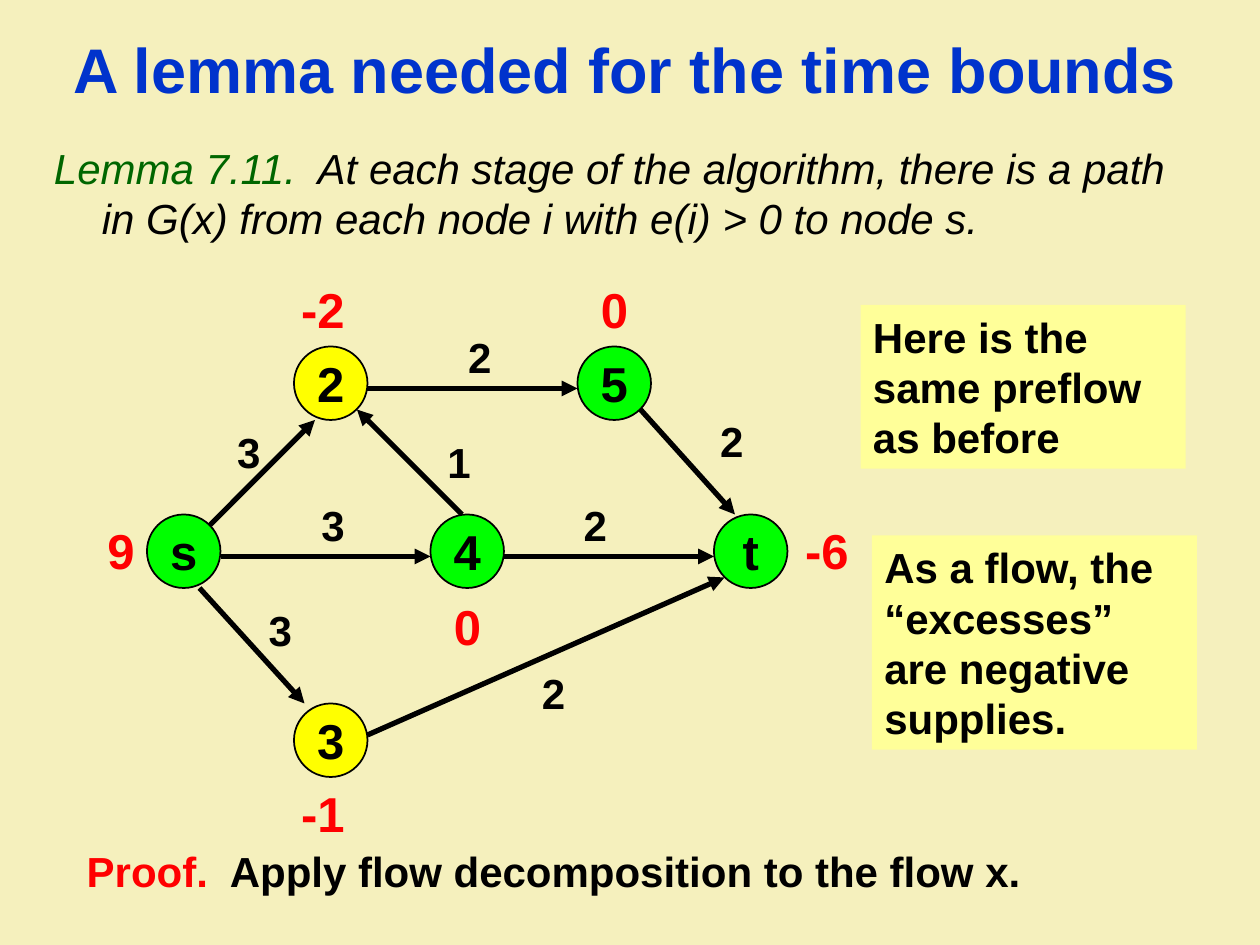
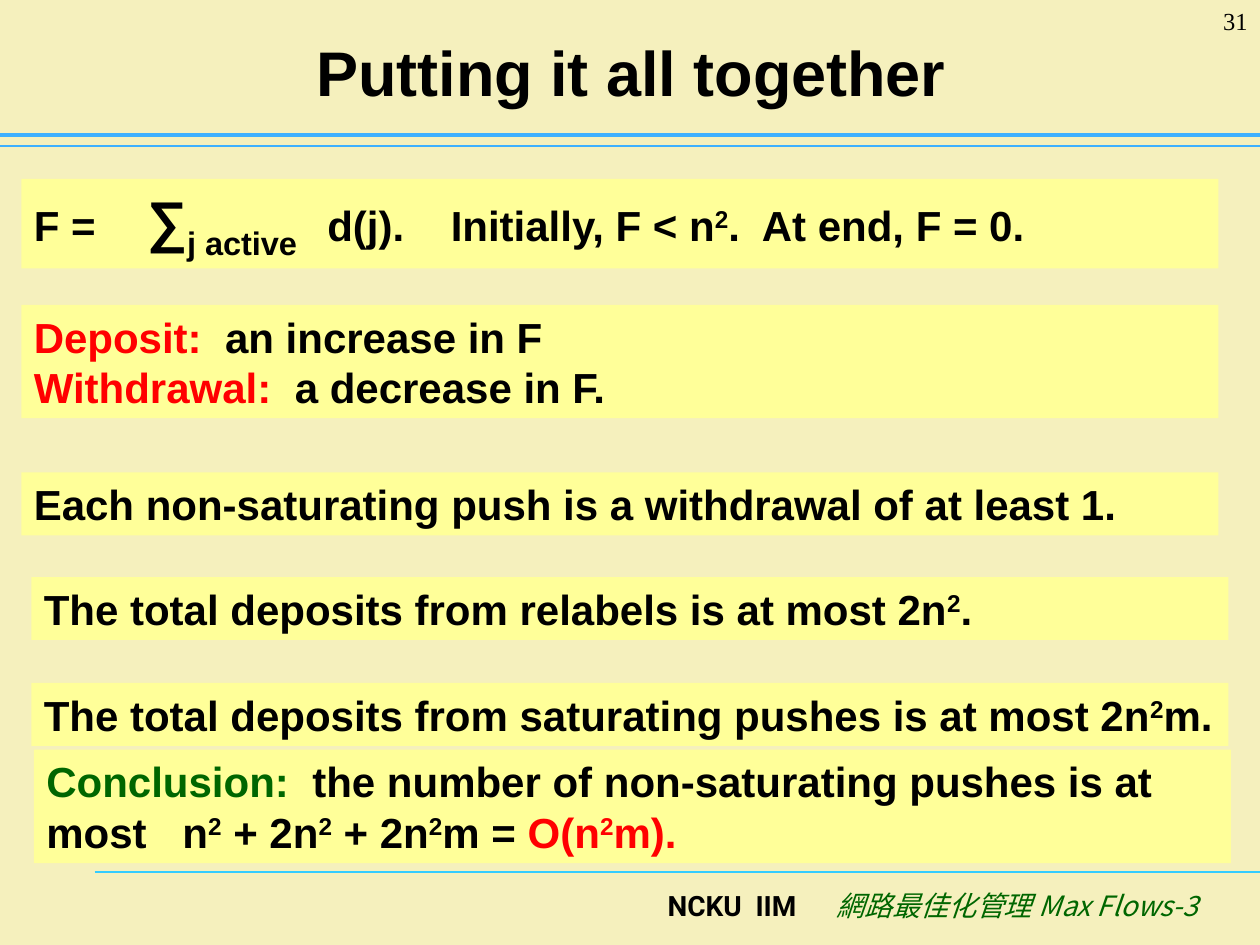
from dataclasses import dataclass

from lxml import etree
from pptx import Presentation
from pptx.dml.color import RGBColor
from pptx.enum.shapes import MSO_CONNECTOR, MSO_SHAPE
from pptx.enum.text import MSO_ANCHOR, PP_ALIGN
from pptx.oxml.ns import qn
from pptx.util import Inches, Length, Pt

RECT, OVAL = MSO_SHAPE.RECTANGLE, MSO_SHAPE.OVAL
STRAIGHT = MSO_CONNECTOR.STRAIGHT
LEFT, CENTER, RIGHT = PP_ALIGN.LEFT, PP_ALIGN.CENTER, PP_ALIGN.RIGHT
TOP, MIDDLE = MSO_ANCHOR.TOP, MSO_ANCHOR.MIDDLE

PAPER, NOTE = "F5F0BD", "FFFF99"
BLACK, RED, BLUE, FOREST = "000000", "FF0000", "0033CC", "006600"
GREEN, YELLOW = "00FF00", "FFFF00"
SKY, AQUA = "3DB0FF", "33CCFF"
GRID = 12  # graph steps per inch
NODE = 7  # node width in grid steps


@dataclass(frozen=True)
class Run:
    text: str
    color: str = BLACK
    size: float = 24
    bold: bool = True
    italic: bool = False
    font: str = "Arial"
    base: int = 0


@dataclass(frozen=True)
class Tab:
    at: float
    kind: str = "l"


@dataclass(frozen=True)
class Node:
    name: str
    x: int
    y: int
    fill: str = GREEN


@dataclass(frozen=True)
class Edge:
    start: tuple[int, int]
    end: tuple[int, int]
    flow: str
    label: tuple[int, int]


@dataclass(frozen=True)
class Excess:
    text: str
    x: float
    y: float
    width: int


@dataclass(frozen=True)
class Fact:
    x: float
    y: float
    height: float
    runs: list[Run]
    tabs: tuple[Tab, ...] = ()


SQUARE = Run("2", base=30)

NODES = [
    Node("s", 14, 49),
    Node("4", 41, 49),
    Node("5", 55, 33),
    Node("t", 68, 49),
    Node("3", 28, 67, YELLOW),
    Node("2", 28, 33, YELLOW),
]
EDGES = [
    Edge((20, 50), (30, 40), "3", (20, 40)),
    Edge((19, 56), (29, 67), "3", (23, 57)),
    Edge((35, 37), (55, 37), "2", (42, 31)),
    Edge((21, 53), (41, 53), "3", (28, 47)),
    Edge((44, 49), (34, 39), "1", (40, 41)),
    Edge((48, 53), (68, 53), "2", (53, 47)),
    Edge((35, 70), (69, 55), "2", (49, 63)),
    Edge((61, 39), (70, 49), "2", (66, 39)),
]
EXCESS = [
    Excess("-2", 24, 26, 10),
    Excess("-1", 22, 74, 12),
    Excess("0", 41, 56.2, 6),
    Excess("0", 55, 26, 6),
    Excess("-6", 72, 49, 10),
    Excess("9", 4, 49, 10),
]
FACTS = [
    Fact(0.17, 1.42, 0.71, [
        Run("F =\t"), Run("∑", size=32), Run("j active", size=32, base=-25),
        Run("\td(j).\tInitially, F < n"), SQUARE, Run(".  At end, F = 0."),
    ], (Tab(0.9), Tab(2.33), Tab(3.31))),
    Fact(0.17, 2.42, 0.9, [
        Run("Deposit:  ", RED), Run("an increase in F"), Run("\n"),
        Run("Withdrawal:  ", RED), Run("a decrease in F."),
    ]),
    Fact(0.17, 3.75, 0.5, [
        Run("Each non-saturating push is a withdrawal of at least 1."),
    ]),
    Fact(0.25, 4.58, 0.5, [
        Run("The total deposits from relabels is at most 2n"), SQUARE, Run("."),
    ]),
    Fact(0.25, 5.42, 0.5, [
        Run("The total deposits from saturating pushes is at most 2n"),
        SQUARE, Run("m."),
    ]),
    Fact(0.27, 5.95, 0.9, [
        Run("Conclusion:  ", FOREST),
        Run("the number of non-saturating pushes is at most\tn"), SQUARE,
        Run(" + 2n"), SQUARE, Run(" + 2n"), SQUARE, Run("m = "),
        Run("O(n", RED), Run("2", RED, base=30), Run("m).", RED),
    ], (Tab(1.08),)),
]


def rgb(color: str) -> RGBColor:
    return RGBColor.from_string(color)


def step(count: float) -> Length:
    """Turn graph steps into a length."""
    return Inches(count / GRID)


def area(x: float, y: float, width: float, height: float) -> tuple[Length, ...]:
    return tuple(Inches(side) for side in (x, y, width, height))


def style(run, look: Run) -> None:
    font = run.font
    font.name, font.size = look.font, Pt(look.size)
    font.bold, font.italic = look.bold, look.italic
    font.color.rgb = rgb(look.color)
    props = run._r.get_or_add_rPr()
    etree.SubElement(props, qn("a:ea")).set("typeface", look.font)
    if look.base:
        props.set("baseline", str(look.base * 1000))


def write(shape, runs: list[Run], align=LEFT, anchor=TOP, wrap=True,
          tabs: tuple[Tab, ...] = ()):
    """Fill a shape with one paragraph; a run of "\\n" breaks the line."""
    frame = shape.text_frame
    frame.word_wrap, frame.vertical_anchor = wrap, anchor
    para = frame.paragraphs[0]
    para.alignment = align
    if tabs:
        stops = etree.SubElement(para._p.get_or_add_pPr(), qn("a:tabLst"))
        for tab in tabs:
            stop = etree.SubElement(stops, qn("a:tab"))
            stop.set("pos", str(Inches(tab.at)))
            stop.set("algn", tab.kind)
    for look in runs:
        if look.text == "\n":
            para.add_line_break()
        else:
            run = para.add_run()
            run.text = look.text
            style(run, look)
    return para


def label(slide, place: tuple[Length, ...], runs: list[Run], align=LEFT,
          anchor=TOP, tabs: tuple[Tab, ...] = ()):
    box = slide.shapes.add_textbox(*place)
    return write(box, runs, align, anchor, tabs=tabs)


def panel(slide, place: tuple[Length, ...], runs: list[Run], fill: str = NOTE,
          tabs: tuple[Tab, ...] = ()) -> None:
    box = slide.shapes.add_shape(RECT, *place)
    box.shadow.inherit = False
    box.fill.solid()
    box.fill.fore_color.rgb = rgb(fill)
    box.line.fill.background()
    write(box, runs, tabs=tabs)


def line(slide, start: tuple[Length, Length], end: tuple[Length, Length],
         color: str, width: float, arrow: bool = False) -> None:
    link = slide.shapes.add_connector(STRAIGHT, *start, *end)
    link.line.color.rgb = rgb(color)
    link.line.width = Pt(width)
    if arrow:
        tail = etree.SubElement(link.line._get_or_add_ln(), qn("a:tailEnd"))
        tail.set("type", "triangle")
    etree.SubElement(link._element.spPr, qn("a:effectLst"))


def circle(slide, node: Node) -> None:
    disc = slide.shapes.add_shape(
        OVAL, step(node.x), step(node.y), step(NODE), step(NODE))
    disc.shadow.inherit = False
    disc.fill.solid()
    disc.fill.fore_color.rgb = rgb(node.fill)
    disc.line.color.rgb = rgb(BLACK)
    disc.line.width = Pt(1)
    write(disc, [Run(node.name, size=28)], CENTER, MIDDLE, wrap=False)


def start(deck, title: str, color: str, place: tuple[Length, ...]):
    """Add a slide with the shared paper and title style."""
    slide = deck.slides.add_slide(deck.slide_layouts[6])
    slide.background.fill.solid()
    slide.background.fill.fore_color.rgb = rgb(PAPER)
    label(slide, place, [Run(title, color, 36)], CENTER, MIDDLE)
    return slide


def graph(slide) -> None:
    for edge in EDGES:
        ends = [(step(x), step(y)) for x, y in (edge.start, edge.end)]
        line(slide, *ends, BLACK, 3, arrow=True)
        x, y = edge.label
        label(slide, (step(x), step(y), step(6), step(6)),
              [Run(edge.flow)], RIGHT)
    for node in NODES:
        circle(slide, node)
    for item in EXCESS:
        place = (step(item.x), step(item.y), step(item.width), Inches(0.57))
        label(slide, place, [Run(item.text, RED, 28)], RIGHT)


def lemma(deck) -> None:
    slide = start(deck, "A lemma needed for the time bounds", BLUE,
                  area(0.17, 0.33, 9.58, 0.42))
    para = label(slide, area(0.33, 1.08, 9.08, 1), [
        Run("Lemma 7.11. ", FOREST, bold=False, italic=True),
        Run(" At each stage of the algorithm, there is a path in G(x) "
            "from each node i with e(i) > 0 to node s.",
            bold=False, italic=True),
    ])
    props = para._p.get_or_add_pPr()
    props.set("marL", str(Inches(0.38)))
    props.set("indent", str(-Inches(0.38)))
    graph(slide)
    panel(slide, area(6.83, 2.42, 2.58, 1.3),
          [Run("Here is the same preflow as before")])
    panel(slide, area(6.92, 4.25, 2.58, 1.7),
          [Run("As a flow, the “excesses” are negative supplies.")])
    panel(slide, area(0.59, 6.66, 9.17, 0.5),
          [Run("Proof.", RED), Run("  Apply flow decomposition to the flow x.")],
          PAPER)


def finish(deck) -> None:
    slide = start(deck, "Putting it all together", BLACK,
                  area(0.51, 0.13, 9, 0.87))
    for x, y, color, width in ((0.75, 6.92, AQUA, 0.75),
                               (0, 1.16, SKY, 0.75), (0, 1.07, SKY, 2.5)):
        line(slide, (Inches(x), Inches(y)), (Inches(10), Inches(y)), color, width)
    label(slide, area(1.83, 7, 7.78, 0.5), [
        Run("\tNCKU  IIM", size=16, font="Roboto"),
        Run("\t網路最佳化管理 Max Flows-3", FOREST, 16, False, True,
            "Noto Sans CJK SC"),
    ], tabs=(Tab(3.37), Tab(7.58, "r")))
    label(slide, area(9.17, 0, 0.83, 0.5),
          [Run("31", size=14, bold=False, font="Times New Roman")], RIGHT)
    for fact in FACTS:
        panel(slide, area(fact.x, fact.y, 9.5, fact.height), fact.runs,
              tabs=fact.tabs)


def main() -> None:
    deck = Presentation()
    deck.slide_width, deck.slide_height = Inches(10), Inches(7.5)
    lemma(deck)
    finish(deck)
    deck.save("out.pptx")


if __name__ == "__main__":
    main()
